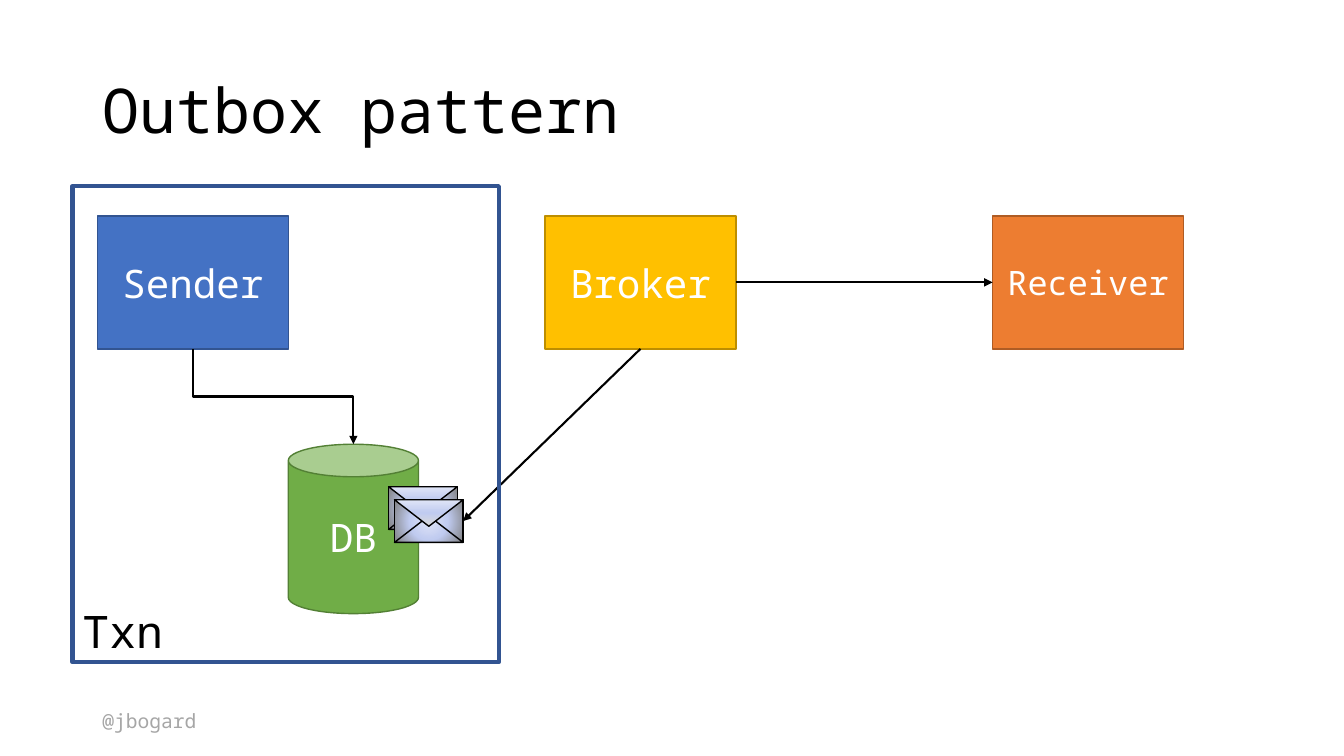
from pptx import Presentation
from pptx.dml.color import RGBColor
from pptx.enum.shapes import MSO_CONNECTOR, MSO_SHAPE
from pptx.enum.text import MSO_ANCHOR, PP_ALIGN
from pptx.oxml import parse_xml
from pptx.oxml.ns import nsdecls, qn
from pptx.util import Pt

STRAIGHT, ELBOW = MSO_CONNECTOR.STRAIGHT, MSO_CONNECTOR.ELBOW
RECTANGLE, CAN, TRIANGLE = MSO_SHAPE.RECTANGLE, MSO_SHAPE.CAN, MSO_SHAPE.ISOSCELES_TRIANGLE
TOP, MIDDLE, BOTTOM = MSO_ANCHOR.TOP, MSO_ANCHOR.MIDDLE, MSO_ANCHOR.BOTTOM
LEFT, CENTER = PP_ALIGN.LEFT, PP_ALIGN.CENTER

FONT = "Noto Sans Mono"
COLOURS = {
    "black": "000000", "white": "FFFFFF", "grey": "A6A6A6",
    "blue": "4472C4", "blue edge": "325491",
    "yellow": "FFC000", "yellow edge": "BD8E00",
    "orange": "ED7D31", "orange edge": "AF5C24",
    "green": "70AD47", "green edge": "538035",
    "paper light": "E0E5F7", "paper": "C0CBF0",
    "paper shade": "808080", "flap shade": "D9D9D9",
}

TITLE = "Outbox pattern"
HANDLE = "@jbogard"
SERVICES = [("Sender", "blue", 28), ("Broker", "yellow", 28), ("Receiver", "orange", 24)]
DATABASE = "DB"
TRANSACTION = "Txn"

SERVICE_LEFT, SERVICE_TOP, SERVICE_STEP = 69.6, 154.2, 319.7
SERVICE_WIDTH, SERVICE_HEIGHT = 136.4, 95
DATABASE_BOX = (205.9, 317.3, 93, 121)
FRAME_BOX = (51.8, 133, 304.6, 340)
ENVELOPES = [(277.6, 347.7), (281.8, 357)]
ENVELOPE_WIDTH, ENVELOPE_HEIGHT, FLAP_HEIGHT = 49, 30.4, 18.9
RADIAL = '<a:path path="circle"><a:fillToRect l="50000" t="50000" r="50000" b="50000"/></a:path>'
UPWARD = '<a:lin ang="16200000" scaled="0"/>'


def rgb(name):
    return RGBColor.from_string(COLOURS[name])


def write(shape, text, *, size, colour="white", align=CENTER, anchor=MIDDLE, spacing=1.0):
    frame = shape.text_frame
    frame.word_wrap = True
    frame.vertical_anchor = anchor
    paragraph = frame.paragraphs[0]
    paragraph.alignment = align
    paragraph.line_spacing = spacing
    run = paragraph.add_run()
    run.text = text
    run.font.name = FONT
    run.font.size = Pt(size)
    run.font.color.rgb = rgb(colour)


def add_label(box, text, **text_format):
    write(slide.shapes.add_textbox(*map(Pt, box)), text, **text_format)


def add_shape(shapes, kind, box, edge, fill=None, weight=1):
    shape = shapes.add_shape(kind, *map(Pt, box))
    shape.shadow.inherit = False
    if fill:
        shape.fill.solid()
        shape.fill.fore_color.rgb = rgb(fill)
    else:
        shape.fill.background()
    shape.line.color.rgb = rgb(edge)
    shape.line.width = Pt(weight)
    return shape


def set_gradient(shape, last_colour, direction):
    stops = [(0, "paper light"), (48, "paper"), (100, last_colour)]
    stop_xml = "".join(
        f'<a:gs pos="{position * 1000}"><a:srgbClr val="{COLOURS[name]}"/></a:gs>'
        for position, name in stops
    )
    gradient = parse_xml(
        f'<a:gradFill {nsdecls("a")} rotWithShape="1"><a:gsLst>{stop_xml}</a:gsLst>{direction}</a:gradFill>'
    )
    properties = shape.element.spPr
    properties.replace(properties.find(qn("a:noFill")), gradient)


def add_envelope(left, top):
    shapes = slide.shapes.add_group_shape().shapes
    body = add_shape(shapes, RECTANGLE, (left, top, ENVELOPE_WIDTH, ENVELOPE_HEIGHT), "black")
    set_gradient(body, "paper shade", RADIAL)
    fold_top = top + ENVELOPE_HEIGHT - FLAP_HEIGHT
    add_shape(shapes, TRIANGLE, (left, fold_top, ENVELOPE_WIDTH, FLAP_HEIGHT), "black")
    flap = add_shape(shapes, TRIANGLE, (left, top, ENVELOPE_WIDTH, FLAP_HEIGHT), "black")
    flap.rotation = 180
    set_gradient(flap, "flap shade", UPWARD)
    return body


def add_arrow(kind, start, end):
    arrow = slide.shapes.add_connector(kind, *map(Pt, start + end))
    arrow.line.color.rgb = rgb("black")
    arrow.line.width = Pt(1.5)
    arrow.line._get_or_add_ln().append(parse_xml(f'<a:tailEnd {nsdecls("a")} type="triangle"/>'))
    arrow.element.spPr.append(parse_xml(f'<a:effectLst {nsdecls("a")}/>'))
    return arrow


def join(first, first_side, second, second_side):
    arrow = add_arrow(STRAIGHT, (0, 0), (0, 0))
    arrow.begin_connect(first, first_side)
    arrow.end_connect(second, second_side)


def add_vertical_elbow(start, end):
    middle_x, middle_y = (start[0] + end[0]) / 2, (start[1] + end[1]) / 2
    half_run, half_drop = (end[0] - start[0]) / 2, (end[1] - start[1]) / 2
    arrow = add_arrow(
        ELBOW,
        (middle_x + half_drop, middle_y - half_run),
        (middle_x - half_drop, middle_y + half_run),
    )
    arrow.element.spPr.find(qn("a:xfrm")).set("rot", "16200000")


presentation = Presentation()
presentation.slide_width, presentation.slide_height = Pt(960), Pt(540)
slide = presentation.slides.add_slide(presentation.slide_layouts[6])

add_label((66, 503, 105, 24.5), HANDLE, size=14, colour="grey", align=LEFT, anchor=TOP)
add_label((66, 28.75, 828, 104.4), TITLE, size=44, colour="black", align=LEFT, spacing=0.9)

services = {}
for column, (name, colour, size) in enumerate(SERVICES):
    box = (SERVICE_LEFT + column * SERVICE_STEP, SERVICE_TOP, SERVICE_WIDTH, SERVICE_HEIGHT)
    services[name] = add_shape(slide.shapes, RECTANGLE, box, f"{colour} edge", colour)
    write(services[name], name, size=size)

database = add_shape(slide.shapes, CAN, DATABASE_BOX, "green edge", "green")
write(database, DATABASE, size=28)
add_vertical_elbow(
    (SERVICE_LEFT + SERVICE_WIDTH / 2, SERVICE_TOP + SERVICE_HEIGHT),
    (DATABASE_BOX[0] + DATABASE_BOX[2] / 2, DATABASE_BOX[1]),
)

envelopes = [add_envelope(*corner) for corner in ENVELOPES]
join(services["Broker"], 2, envelopes[-1], 3)
join(services["Broker"], 3, services["Receiver"], 1)

transaction = add_shape(slide.shapes, RECTANGLE, FRAME_BOX, "blue edge", weight=3)
write(transaction, TRANSACTION, size=32, colour="black", align=LEFT, anchor=BOTTOM)

presentation.save("out.pptx")
